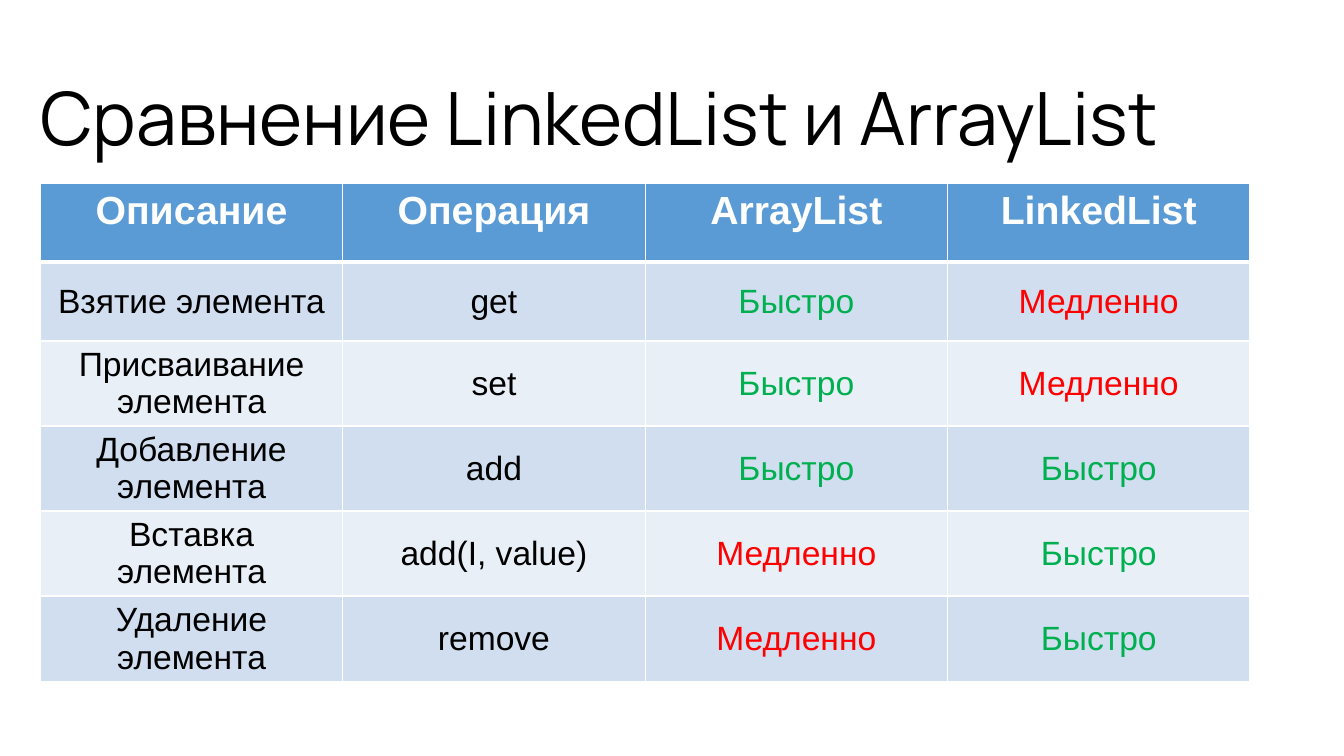
import pptx
import pptx.util
import pptx.dml.color
import pptx.enum.text
import pptx.oxml
import pptx.oxml.ns

WIDE, HIGH = pptx.util.Inches(13.33), pptx.util.Inches(7.5)
COLORS = {
    "ink": "000000", "white": "FFFFFF", "head": "5B9BD5",
    "odd": "D0DEEF", "even": "E9EFF7", "good": "00B050", "bad": "FF0000",
}
FAST, SLOW = "Быстро", "Медленно"
TONES = {FAST: "good", SLOW: "bad"}
ROWS = [
    ("Описание", "Операция", "ArrayList", "LinkedList"),
    ("Взятие элемента", "get", FAST, SLOW),
    ("Присваивание элемента", "set", FAST, SLOW),
    ("Добавление элемента", "add", FAST, FAST),
    ("Вставка элемента", "add(I, value)", SLOW, FAST),
    ("Удаление элемента", "remove", SLOW, FAST),
]


def tint(name):
    return pptx.dml.color.RGBColor.from_string(COLORS[name])


def box(left, top, width, height):
    return [int(WIDE * left), int(HIGH * top), int(WIDE * width), int(HIGH * height)]


def apply(target, values):
    for name, value in values.items():
        setattr(target, name, value)


def style(part, size, face, tone, bold=False):
    font = part.font
    apply(font, {"size": pptx.util.Pt(size), "name": face, "bold": bold})
    font.color.rgb = tint(tone)


def edge(cell, widths):
    props = cell._tc.get_or_add_tcPr()
    for side, width in widths.items():
        props.append(pptx.oxml.parse_xml(
            f'<a:ln{side} {pptx.oxml.ns.nsdecls("a")} w="{pptx.util.Pt(width)}">'
            f'<a:solidFill><a:srgbClr val="{COLORS["white"]}"/></a:solidFill>'
            f'</a:ln{side}>'))


def head(slide, area, text):
    title = slide.shapes.title
    apply(title, dict(zip(("left", "top", "width", "height"), area)))
    frame = title.text_frame
    frame.text = text
    apply(frame, {
        "margin_left": 0, "margin_top": 0, "margin_right": 0, "margin_bottom": 0,
        "word_wrap": True, "auto_size": pptx.enum.text.MSO_AUTO_SIZE.NONE,
        "vertical_anchor": pptx.enum.text.MSO_ANCHOR.TOP,
    })
    line = frame.paragraphs[0]
    apply(line, {"alignment": pptx.enum.text.PP_ALIGN.LEFT, "line_spacing": 1.17})
    style(line.runs[0], 52.5, "Manrope", "ink")


def grid(slide, area, rows):
    table = slide.shapes.add_table(len(rows), len(rows[0]), *area).table
    for y, row in enumerate(rows):
        top = y == 0
        fill = "head" if top else "odd" if y % 2 else "even"
        for x, text in enumerate(row):
            cell = table.cell(y, x)
            edge(cell, {"L": 1, "R": 1, "T": 3 if y == 1 else 1, "B": 3 if top else 1})
            cell.fill.solid()
            cell.fill.fore_color.rgb = tint(fill)
            cell.text = text
            anchor = pptx.enum.text.MSO_ANCHOR
            cell.vertical_anchor = anchor.TOP if top else anchor.MIDDLE
            line = cell.text_frame.paragraphs[0]
            line.alignment = pptx.enum.text.PP_ALIGN.CENTER
            tone = "white" if top else TONES.get(text, "ink")
            style(line.runs[0], 28 if top else 24, "Arial", tone, top)


def main():
    deck = pptx.Presentation()
    apply(deck, {"slide_width": WIDE, "slide_height": HIGH})
    slide = deck.slides.add_slide(deck.slide_layouts.get_by_name("Title Only"))
    head(slide, box(0.03, 0.075, 0.9, 0.15), "Сравнение LinkedList и ArrayList")
    grid(slide, box(0.03, 0.243, 0.9, 0.624), ROWS)
    deck.save("out.pptx")


if __name__ == "__main__":
    main()
